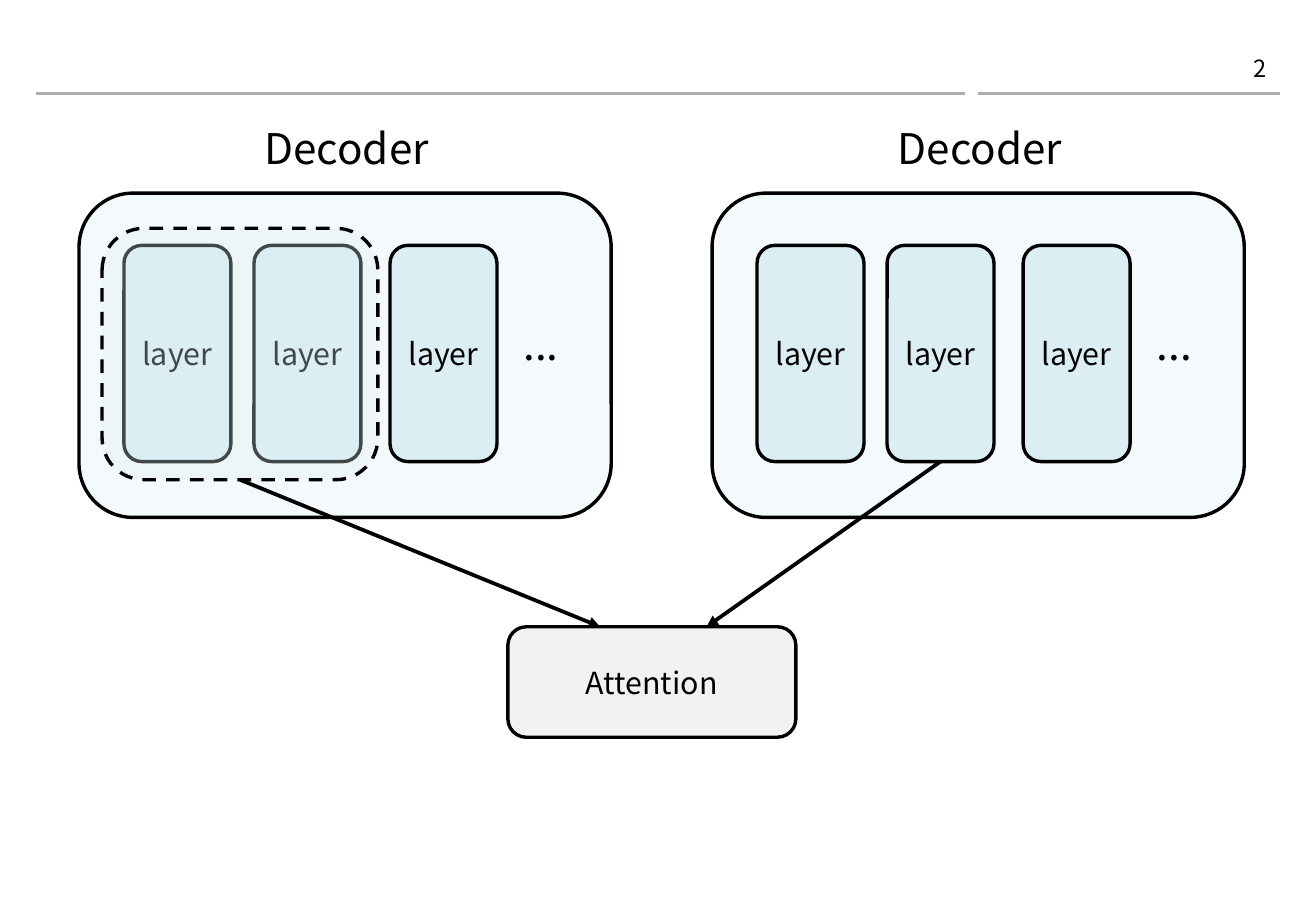
from lxml import etree
from pptx import Presentation, util as u
from pptx.dml.color import RGBColor
from pptx.enum import dml, shapes, text
from pptx.oxml.ns import qn

FONT = "Noto Sans CJK KR"
BLACK, GREY, BLUE, PALE = "000000", "AEAEAE", "DBEEF4", "F2F2F2"
WIDE, HIGH = 10.83, 7.5
PAGE = ("2", 9.98, 0.36, 0.54, 0.4)
RULES = [(0.3, 7.94), (8.05, 10.53)]
RULE_Y = 0.77
DECODERS = [("Decoder", 0.65), ("Decoder", 5.86)]
DECODER_Y, DECODER_W, DECODER_H = 1.59, 4.38, 2.67
LAYERS = [("layer", 0.37), ("layer", 1.44), ("layer", 2.56)]
LAYER_Y, LAYER_W, LAYER_H = 2.02, 0.88, 1.78
LABEL = (1.43, 0.96, 1.56, 0.52)
MORE = ("...", 3.56, 2.57, 0.51, 0.52)
GROUP = (0.84, 1.88, 2.27, 2.07)
ATTENTION = ("Attention", 4.18, 5.16, 2.37, 0.91)
ENDS = (0.32, 0.69)


def rgb(code):
    return RGBColor.from_string(code)


def inches(*sizes):
    return [u.Inches(size) for size in sizes]


def write(shape, words, size, align):
    para = shape.text_frame.paragraphs[0]
    para.text, para.alignment = words, align
    para.font.size, para.font.name = u.Pt(size), FONT
    para.font.color.rgb = rgb(BLACK)


def note(slide, words, spot, size, align=text.PP_ALIGN.LEFT, wrap=False):
    box = slide.shapes.add_textbox(*inches(*spot))
    frame = box.text_frame
    frame.word_wrap = wrap
    if wrap:
        frame.vertical_anchor = text.MSO_ANCHOR.MIDDLE
    else:
        frame.auto_size = text.MSO_AUTO_SIZE.SHAPE_TO_FIT_TEXT
    write(box, words, size, align)


def panel(slide, spot, fill, words="", alpha=None):
    box = slide.shapes.add_shape(shapes.MSO_SHAPE.ROUNDED_RECTANGLE, *inches(*spot))
    box.shadow.inherit = False
    box.fill.solid()
    box.fill.fore_color.rgb = rgb(fill)
    if alpha:
        color = box.fill._xPr.find(".//" + qn("a:srgbClr"))
        etree.SubElement(color, qn("a:alpha"), val=str(alpha * 1000))
    box.line.color.rgb, box.line.width = rgb(BLACK), u.Pt(2)
    if words:
        box.text_frame.vertical_anchor = text.MSO_ANCHOR.MIDDLE
        write(box, words, 18, text.PP_ALIGN.CENTER)
    return box


def link(slide, start, end, color, width, arrow=False):
    line = slide.shapes.add_connector(
        shapes.MSO_CONNECTOR.STRAIGHT, *inches(*start, *end))
    line.line.color.rgb, line.line.width = rgb(color), u.Pt(width)
    if arrow:
        etree.SubElement(line.line._get_or_add_ln(), qn("a:tailEnd"), type="triangle")
    etree.SubElement(line._element.spPr, qn("a:effectLst"))


def main():
    """Build the slide of two decoders feeding one attention block."""
    deck = Presentation()
    deck.slide_width, deck.slide_height = inches(WIDE, HIGH)
    slide = deck.slides.add_slide(deck.slide_layouts[6])
    for left, right in RULES:
        link(slide, (left, RULE_Y), (right, RULE_Y), GREY, 2)
    note(slide, PAGE[0], PAGE[1:], 14, text.PP_ALIGN.RIGHT, True)

    for title, left in DECODERS:
        panel(slide, (left, DECODER_Y, DECODER_W, DECODER_H), BLUE, alpha=30)
        note(slide, title, (left + LABEL[0], *LABEL[1:]), 25)
        for name, shift in LAYERS:
            panel(slide, (left + shift, LAYER_Y, LAYER_W, LAYER_H), BLUE, name)
        note(slide, MORE[0], (left + MORE[1], *MORE[2:]), 25)

    x, y, wide, high = GROUP
    second = DECODERS[1][1] + LAYERS[1][1] + LAYER_W / 2
    starts = [(x + wide / 2, y + high), (second, LAYER_Y + LAYER_H)]
    name, left, top, width, _ = ATTENTION
    for start, share in zip(starts, ENDS):
        link(slide, start, (left + share * width, top), BLACK, 2.25, True)
    panel(slide, ATTENTION[1:], PALE, name)
    group = panel(slide, GROUP, BLUE, alpha=30)
    group.line.dash_style = dml.MSO_LINE.DASH
    deck.save("out.pptx")


if __name__ == "__main__":
    main()
